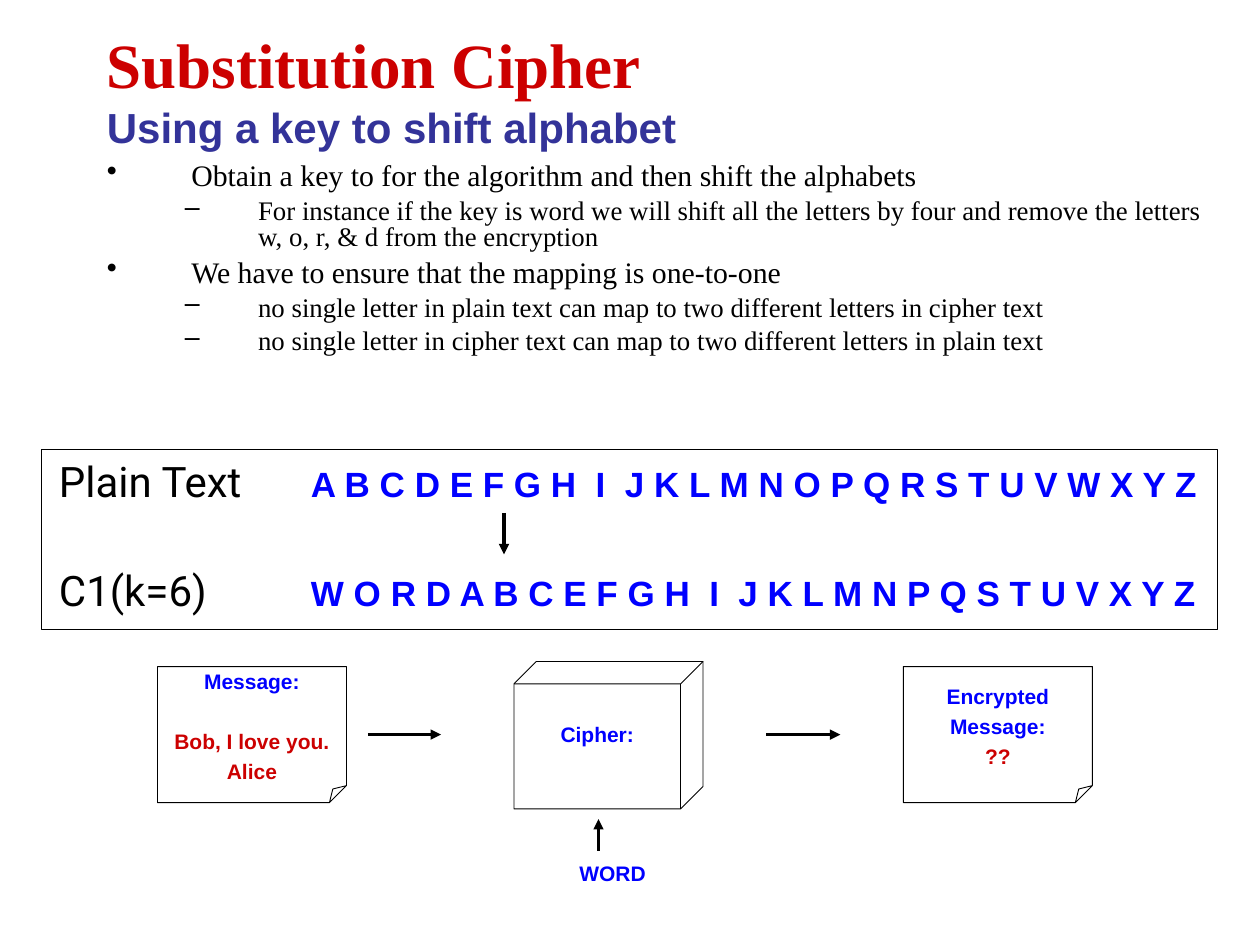
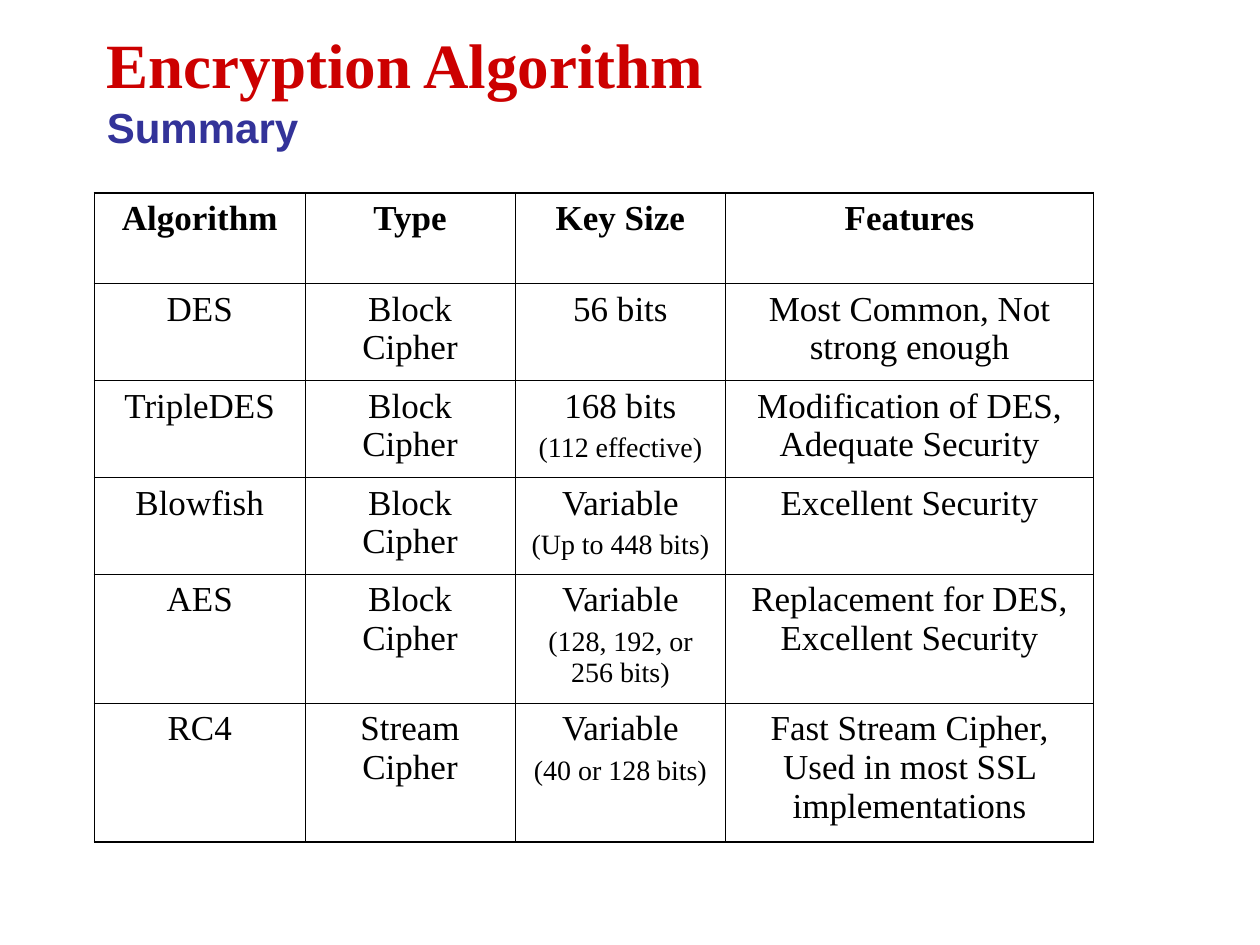
"""Build two slides on substitution ciphers and encryption algorithms."""
from dataclasses import dataclass

from lxml import etree
from pptx import Presentation
from pptx.dml.color import RGBColor
from pptx.enum.shapes import MSO_CONNECTOR, MSO_SHAPE
from pptx.enum.text import MSO_ANCHOR, PP_ALIGN
from pptx.oxml.ns import qn
from pptx.util import Inches, Pt

CENTER = PP_ALIGN.CENTER
MIDDLE, BOTTOM = MSO_ANCHOR.MIDDLE, MSO_ANCHOR.BOTTOM
RECTANGLE, FOLDED, CUBE = MSO_SHAPE.RECTANGLE, MSO_SHAPE.FOLDED_CORNER, MSO_SHAPE.CUBE
STRAIGHT = MSO_CONNECTOR.STRAIGHT


@dataclass(frozen=True)
class Theme:
    black: str = "000000"
    red: str = "CC0000"
    navy: str = "333399"
    blue: str = "0000FF"
    serif: str = "Times New Roman"
    sans: str = "Arial"
    label_font: str = "Roboto"
    title: float = 36
    subtitle: float = 24
    label: float = 24
    letters: float = 20
    cell: float = 20
    cell_note: float = 16
    caption: float = 12
    hairline: float = 0.5
    table_inner: float = 0.45
    table_outer: float = 1.08


THEME = Theme()

CIPHER_TITLE = ("Substitution Cipher", "Using a key to shift alphabet")
SUMMARY_TITLE = ("Encryption Algorithm", "Summary")

BULLETS = [
    (0, "Obtain a key to for the algorithm and then shift the alphabets"),
    (1, "For instance if the key is word we will shift all the letters by four "
        "and remove the letters w, o, r, & d from the encryption"),
    (0, "We have to ensure that the mapping is one-to-one"),
    (1, "no single letter in plain text can map to two different letters in cipher text"),
    (1, "no single letter in cipher text can map to two different letters in plain text"),
]
BULLET_LEVELS = [
    dict(mark="\u2022", indent=0.67, hang=0.67, size=17, before=5),
    dict(mark="\u2013", indent=1.2, hang=0.58, size=15.3, before=4.5),
]

ALPHABETS = [
    ("Plain Text", "A B C D E F G H  I  J K L M N O P Q R S T U V W X Y Z", 3.57),
    ("C1(k=6)", "W O R D A B C E F G H  I  J K L M N P Q S T U V X Y Z", 4.43),
]
ALPHABET_FRAME = (0.33, 3.57, 9.33, 1.43)

FLOW = [
    (FOLDED, (1.25, 5.29, 1.5, 1.08), 12500, 0.05,
     [("Message:", THEME.blue, 3), ("Bob, I love you.", THEME.red, 20),
      ("Alice", THEME.red, 3)]),
    (CUBE, (4.08, 5.25, 1.5, 1.17), 15200, 0.25, [("Cipher:", THEME.blue, 3)]),
    (FOLDED, (7.17, 5.29, 1.5, 1.08), 12500, 0.05,
     [("Encrypted", THEME.blue, 3), ("Message:", THEME.blue, 3), ("??", THEME.red, 3)]),
]
KEY_WORD = ("WORD", (4.5, 6.68, 0.8, 0.4))
ARROWS = [
    ((4, 4.07), (4, 4.4), 2),
    ((2.92, 5.83), (3.5, 5.83), 1.5),
    ((6.08, 5.83), (6.67, 5.83), 1.5),
    ((4.75, 6.75), (4.75, 6.5), 1.5),
]

ALGORITHMS = [
    ("Algorithm", "Type", "Key Size", "Features"),
    ("DES", "Block Cipher", "56 bits", "Most Common, Not strong enough"),
    ("TripleDES", "Block Cipher", "168 bits\n(112 effective)",
     "Modification of DES, Adequate Security"),
    ("Blowfish", "Block Cipher", "Variable\n(Up to 448 bits)", "Excellent Security"),
    ("AES", "Block Cipher", "Variable\n(128, 192, or 256 bits)",
     "Replacement for DES, Excellent Security"),
    ("RC4", "Stream Cipher", "Variable\n(40 or 128 bits)",
     "Fast Stream Cipher, Used in most SSL implementations"),
]
COLUMN_WIDTHS = [1.67, 1.67, 1.67, 2.92]
ROW_HEIGHTS = [0.72, 0.77, 0.77, 0.77, 1.02, 1.1]


def inches(box):
    return [Inches(value) for value in box]


def style(run, font, size, color, bold=False):
    run.font.name, run.font.size, run.font.bold = font, Pt(size), bold
    run.font.color.rgb = RGBColor.from_string(color)


def add_text(slide, box, text, anchor=None):
    frame = slide.shapes.add_textbox(*inches(box)).text_frame
    frame.word_wrap = True
    frame.text = text
    if anchor is not None:
        frame.vertical_anchor = anchor
    return frame


def add_title(slide, title, subtitle):
    frame = add_text(slide, (0.75, 0.08, 8.5, 1.25), f"{title}\v{subtitle}", MIDDLE)
    title_run, subtitle_run = frame.paragraphs[0].runs
    style(title_run, THEME.serif, THEME.title, THEME.red, True)
    style(subtitle_run, THEME.sans, THEME.subtitle, THEME.navy, True)


def add_bullets(slide):
    frame = add_text(slide, (0.75, 1.25, 9, 1.92), "\n".join(text for _, text in BULLETS))
    for paragraph, (depth, _) in zip(frame.paragraphs, BULLETS):
        level = BULLET_LEVELS[depth]
        paragraph.level = depth
        paragraph.line_spacing = 0.8
        paragraph.space_before = Pt(level["before"])
        style(paragraph.runs[0], THEME.serif, level["size"], THEME.black)
        properties = paragraph._p.get_or_add_pPr()
        properties.set("marL", str(Inches(level["indent"])))
        properties.set("indent", str(-Inches(level["hang"])))
        etree.SubElement(properties, qn("a:buChar"), char=level["mark"])


def add_outline(slide, kind, box):
    outline = slide.shapes.add_shape(kind, *inches(box))
    outline.shadow.inherit = False
    outline.fill.background()
    outline.line.color.rgb = RGBColor.from_string(THEME.black)
    outline.line.width = Pt(THEME.hairline)
    return outline


def add_alphabet(slide, label, letters, top):
    frame = add_text(slide, (0.37, top, 9.26, 0.5), label)
    frame.margin_right = 0
    paragraph = frame.paragraphs[0]
    paragraph.space_before = Pt(5)
    style(paragraph.runs[0], THEME.label_font, THEME.label, THEME.black)
    letters_run = paragraph.add_run()
    letters_run.text = f"\t{letters}"
    style(letters_run, THEME.sans, THEME.letters, THEME.blue, True)
    tabs = etree.SubElement(paragraph._p.get_or_add_pPr(), qn("a:tabLst"))
    etree.SubElement(tabs, qn("a:tab"), pos=str(Inches(2)), algn="l")


def set_depth(step, depth):
    guides = step._element.spPr.find(qn("a:prstGeom")).find(qn("a:avLst"))
    for guide in list(guides):
        guides.remove(guide)
    etree.SubElement(guides, qn("a:gd"), name="adj", fmla=f"val {depth}")


def add_step(slide, kind, box, depth, bottom, lines):
    step = add_outline(slide, kind, box)
    set_depth(step, depth)
    frame = step.text_frame
    frame.text = "\n".join(text for text, _, _ in lines)
    frame.word_wrap = False
    frame.vertical_anchor = MIDDLE
    frame.margin_bottom = Inches(bottom)
    for paragraph, (_, color, before) in zip(frame.paragraphs, lines):
        paragraph.alignment = CENTER
        paragraph.space_before = Pt(before)
        style(paragraph.runs[0], THEME.sans, THEME.caption, color, True)


def add_arrow(slide, start, end, width):
    arrow = slide.shapes.add_connector(STRAIGHT, *inches(start + end))
    arrow.line.color.rgb = RGBColor.from_string(THEME.black)
    arrow.line.width = Pt(width)
    properties = arrow._element.spPr
    etree.SubElement(properties.find(qn("a:ln")), qn("a:tailEnd"), type="triangle")
    etree.SubElement(properties, qn("a:effectLst"))


def add_border(cell, side, width):
    line = etree.SubElement(cell._tc.get_or_add_tcPr(), qn(f"a:ln{side}"), w=str(Pt(width)))
    fill = etree.SubElement(line, qn("a:solidFill"))
    etree.SubElement(fill, qn("a:srgbClr"), val=THEME.black)


def fill_cell(cell, text, header, outer_sides):
    cell.text = text
    for index, paragraph in enumerate(cell.text_frame.paragraphs):
        paragraph.alignment = CENTER
        paragraph.space_before = Pt(4 if index else 5)
        size = THEME.cell_note if index else THEME.cell
        style(paragraph.runs[0], THEME.serif, size, THEME.black, header)
    for side, outer in outer_sides.items():
        add_border(cell, side, THEME.table_outer if outer else THEME.table_inner)
    cell.fill.background()


def add_summary(slide):
    rows, columns = len(ROW_HEIGHTS), len(COLUMN_WIDTHS)
    box = (0.75, 1.53, sum(COLUMN_WIDTHS), sum(ROW_HEIGHTS))
    summary = slide.shapes.add_table(rows, columns, *inches(box)).table
    summary.first_row = summary.horz_banding = False
    for column, width in zip(summary.columns, COLUMN_WIDTHS):
        column.width = Inches(width)
    for r, (height, entries) in enumerate(zip(ROW_HEIGHTS, ALGORITHMS)):
        summary.rows[r].height = Inches(height)
        for c, entry in enumerate(entries):
            outer_sides = {"L": c == 0, "R": c == columns - 1,
                           "T": r == 0, "B": r == rows - 1}
            fill_cell(summary.cell(r, c), entry, r == 0, outer_sides)


def add_key_word(slide, word, box):
    frame = add_text(slide, box, word, BOTTOM)
    style(frame.paragraphs[0].runs[0], THEME.sans, THEME.caption, THEME.blue, True)


def main():
    deck = Presentation()
    deck.slide_width, deck.slide_height = Inches(10), Inches(7.5)
    blank = deck.slide_layouts[6]

    cipher = deck.slides.add_slide(blank)
    add_bullets(cipher)
    add_title(cipher, *CIPHER_TITLE)
    for step in FLOW:
        add_step(cipher, *step)
    add_key_word(cipher, *KEY_WORD)
    for alphabet in ALPHABETS:
        add_alphabet(cipher, *alphabet)
    for arrow in ARROWS:
        add_arrow(cipher, *arrow)
    add_outline(cipher, RECTANGLE, ALPHABET_FRAME)

    summary = deck.slides.add_slide(blank)
    add_title(summary, *SUMMARY_TITLE)
    add_summary(summary)

    deck.save("out.pptx")


main()
